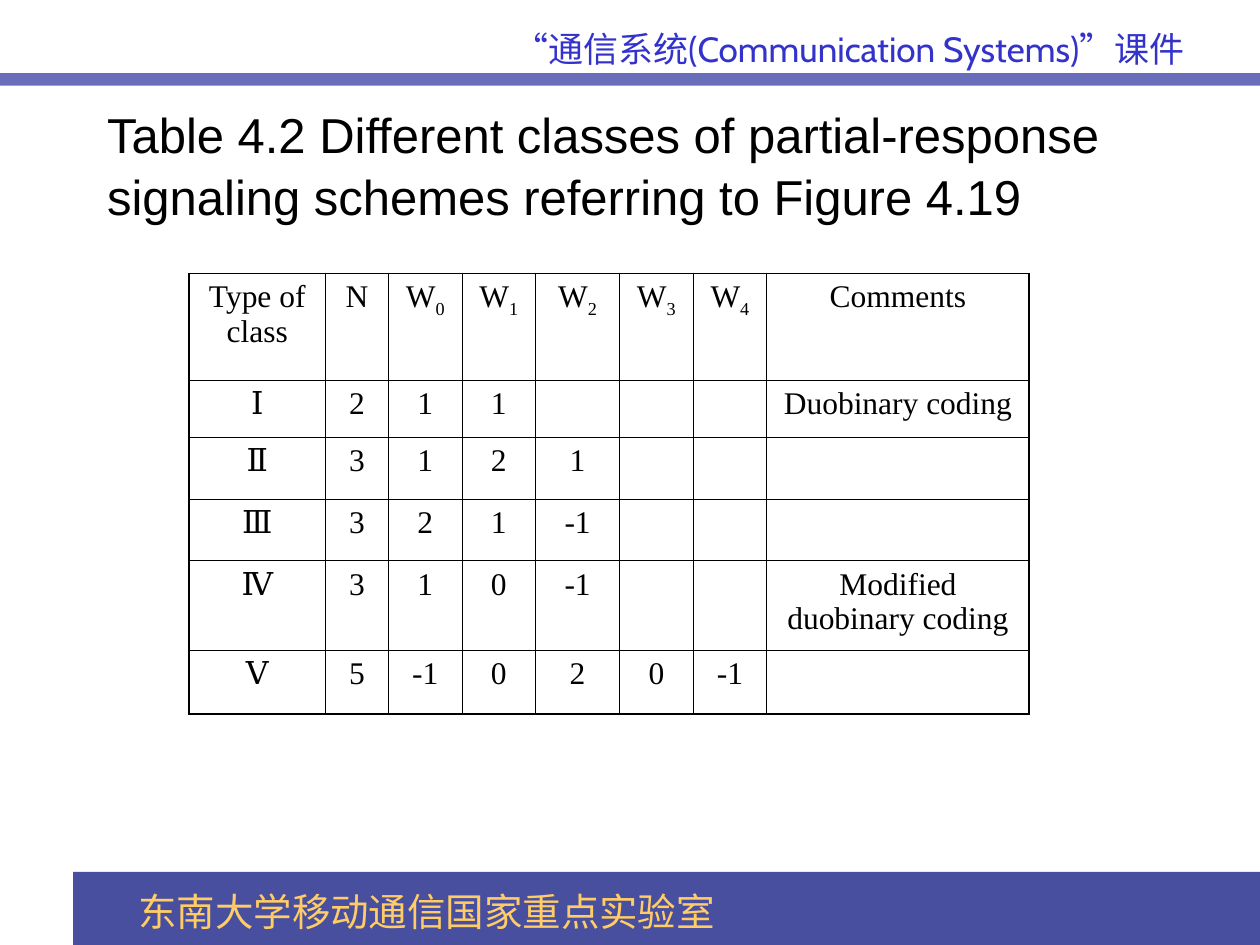
from lxml import etree
from pptx import Presentation
from pptx import util as u
from pptx.dml.color import RGBColor
from pptx.enum import shapes, text
from pptx.oxml import ns

BLACK = RGBColor(0x00, 0x00, 0x00)
FOOTER_BAR = RGBColor(0x49, 0x4F, 0x9F)
HEADER_BAR = RGBColor(0x68, 0x6E, 0xBA)
FOOTER_GOLD = RGBColor(0xFF, 0xCC, 0x66)
HEADER_BLUE = RGBColor(0x33, 0x33, 0xCC)

WIDTH, HEIGHT = u.Inches(10), u.Inches(7.5)
COLUMN_UNITS = (13, 6, 7, 7, 8, 7, 7, 25)
ROW_UNITS = (85, 45, 49, 49, 71, 51)
CLASSES = (
    ("Type of class", "N", "W_0", "W_1", "W_2", "W_3", "W_4", "Comments"),
    ("Ⅰ", "2", "1", "1", "", "", "", "Duobinary coding"),
    ("Ⅱ", "3", "1", "2", "1", "", "", ""),
    ("Ⅲ", "3", "2", "1", "-1", "", "", ""),
    ("Ⅳ", "3", "1", "0", "-1", "", "", "Modified duobinary coding"),
    ("Ⅴ", "5", "-1", "0", "2", "0", "-1", ""),
)


def share(left, top, width, height):
    """Turn inches on the 10 by 7.5 page into a box of slide lengths."""
    return (int(WIDTH * left / 10), int(HEIGHT * top / 7.5),
            int(WIDTH * width / 10), int(HEIGHT * height / 7.5))


def style(run, size, face, color):
    """Format one run."""
    run.font.size = u.Pt(size)
    run.font.name = face
    run.font.color.rgb = color


def add_band(slide, bar_box, bar_color, label_box, label, size, color, align):
    """Draw a coloured bar and the label that goes with it."""
    bar = slide.shapes.add_shape(shapes.MSO_SHAPE.RECTANGLE, *bar_box)
    bar.shadow.inherit = False
    bar.fill.solid()
    bar.fill.fore_color.rgb = bar_color
    bar.line.fill.background()
    frame = slide.shapes.add_textbox(*label_box).text_frame
    frame.word_wrap = True
    frame.text = label
    frame.paragraphs[0].alignment = align
    style(frame.paragraphs[0].runs[0], size, "Cabin", color)


def fill_title(slide, box, caption):
    """Place and format the title placeholder."""
    title = slide.shapes.title
    title.left, title.top, title.width, title.height = box
    frame = title.text_frame
    frame.text = caption
    frame.auto_size = text.MSO_AUTO_SIZE.NONE
    frame.vertical_anchor = text.MSO_ANCHOR.MIDDLE
    frame.paragraphs[0].alignment = text.PP_ALIGN.LEFT
    frame.paragraphs[0].line_spacing = 1.05
    style(frame.paragraphs[0].runs[0], 28, "Arial", BLACK)


def rule_cell(cell, outer_sides):
    """Border a cell, with heavier lines on the outer sides."""
    cell.fill.background()
    properties = cell._tc.get_or_add_tcPr()
    for position, side in enumerate("LRTB"):
        weight = 1.08 if side in outer_sides else 0.45
        line = etree.Element(ns.qn(f"a:ln{side}"), w=str(u.Pt(weight)))
        solid = etree.SubElement(line, ns.qn("a:solidFill"))
        etree.SubElement(solid, ns.qn("a:srgbClr"), val=str(BLACK))
        properties.insert(position, line)


def write_cell(cell, entry):
    """Write a centred entry, lowering what follows an underscore."""
    paragraph = cell.text_frame.paragraphs[0]
    paragraph.alignment = text.PP_ALIGN.CENTER
    base, _, subscript = entry.partition("_")
    paragraph.text = base
    if subscript:
        lowered = paragraph.add_run()
        lowered.text = subscript
        lowered.font._element.set("baseline", "-25000")
    for run in paragraph.runs:
        style(run, 18, "Times New Roman", BLACK)


def add_class_table(slide, box):
    """Build the table of signaling classes inside the box."""
    last_row, last_column = len(ROW_UNITS) - 1, len(COLUMN_UNITS) - 1
    table = slide.shapes.add_table(last_row + 1, last_column + 1, *box).table
    table.first_row = table.horz_banding = False
    for column, units in zip(table.columns, COLUMN_UNITS):
        column.width = box[2] * units // sum(COLUMN_UNITS)
    for row, units in zip(table.rows, ROW_UNITS):
        row.height = box[3] * units // sum(ROW_UNITS)
    for r, entries in enumerate(CLASSES):
        for c, entry in enumerate(entries):
            edges = {"L": c == 0, "R": c == last_column,
                     "T": r == 0, "B": r == last_row}
            rule_cell(table.cell(r, c), [side for side in edges if edges[side]])
            write_cell(table.cell(r, c), entry)


def main():
    """Build and save the slide."""
    deck = Presentation()
    deck.slide_width, deck.slide_height = WIDTH, HEIGHT
    slide = deck.slides.add_slide(deck.slide_layouts[5])
    add_band(slide, share(0.58, 6.92, 9.42, 0.58), FOOTER_BAR,
             share(1, 7, 5, 0.47), "东南大学移动通信国家重点实验室",
             22, FOOTER_GOLD, text.PP_ALIGN.LEFT)
    add_band(slide, share(0, 0.58, 10, 0.1), HEADER_BAR,
             share(3.5, 0.17, 6, 0.44), "“通信系统(Communication Systems)”课件",
             20, HEADER_BLUE, text.PP_ALIGN.RIGHT)
    fill_title(slide, share(0.75, 0.67, 8.5, 1.25),
               "Table 4.2 Different classes of partial-response "
               "signaling schemes referring to Figure 4.19")
    add_class_table(slide, share(1.5, 2.17, 6.67, 3.5))
    deck.save("out.pptx")


if __name__ == "__main__":
    main()
